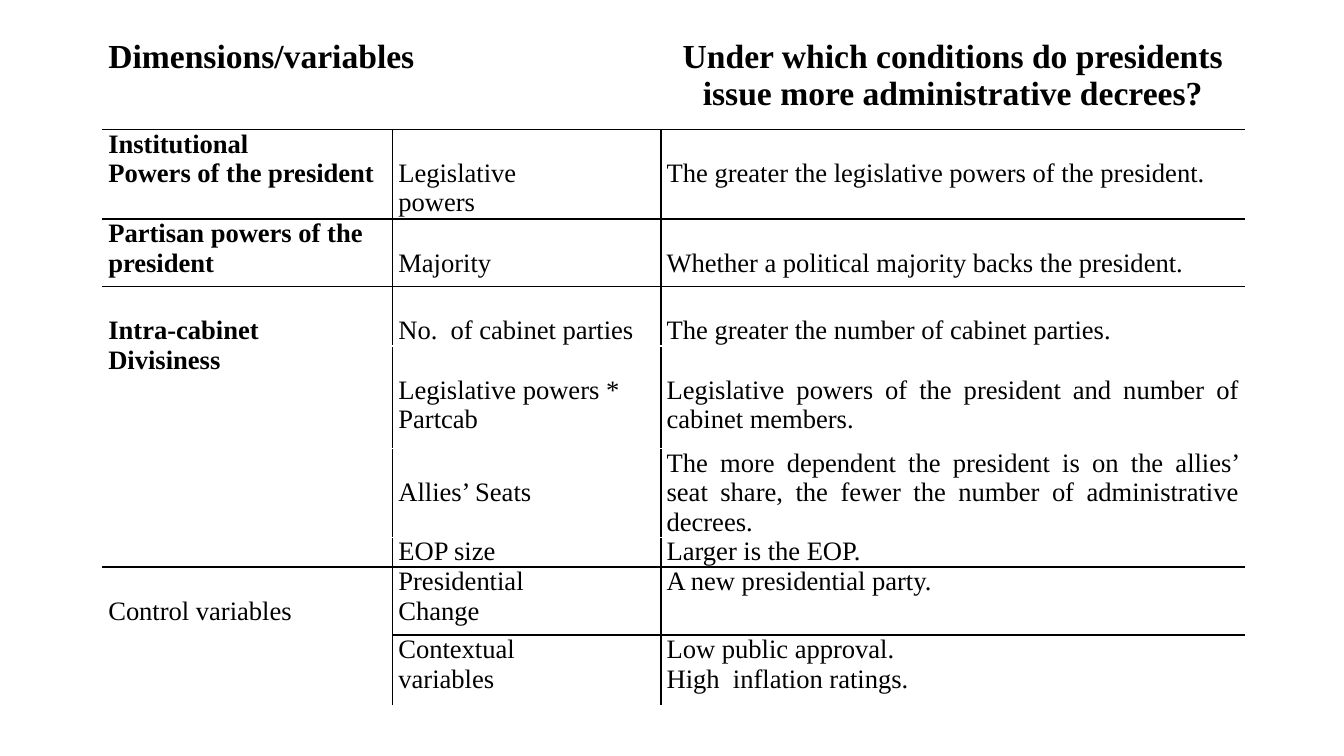
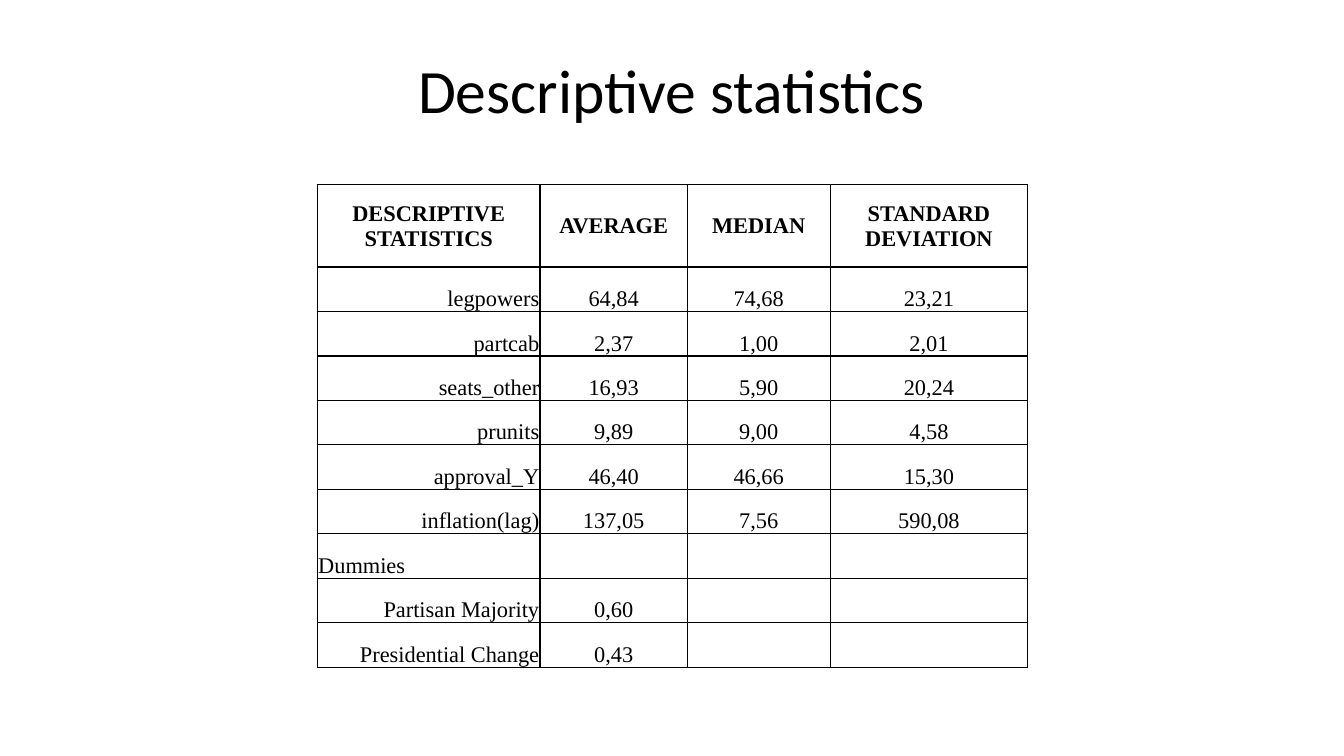
from lxml.etree import SubElement
from pptx import Presentation
from pptx.dml.color import RGBColor
from pptx.enum.text import MSO_ANCHOR as ANCHOR, PP_ALIGN as ALIGN
from pptx.oxml.ns import qn
from pptx.util import Cm, Pt

COLORS = {"ink": "000000", "paper": "FFFFFF"}
SERIF, SANS = "Times New Roman", "Calibri"
BORDER = Pt(1)
LINE = 0.74  # height of one 19 pt line, in cm

# Hypotheses: (lines left free above the text, text); None is covered by a merge
HYPOTHESES = [
    [(0, "Dimensions/variables"), None,
     (0, "Under which conditions do presidents issue more administrative decrees?")],
    [(0, "Institutional\nPowers of the president"), (1, "Legislative\npowers"),
     (1, "The greater the legislative powers of the president.")],
    [(0, "Partisan powers of the president"), (1, "Majority"),
     (1, "Whether a political majority backs the president.")],
    [(1, "Intra-cabinet\nDivisiness"), (1, "No.  of cabinet parties"),
     (1, "The greater the number of cabinet parties.")],
    [None, (1, "Legislative powers *\nPartcab"),
     (1, "Legislative powers of the president and number of cabinet members.")],
    [None, (1, "Allies’ Seats"),
     (0, "The more dependent the president is on the allies’ seat share, "
         "the fewer the number of administrative decrees.")],
    [None, (0, "EOP size"), (0, "Larger is the EOP.")],
    [(1, "Control variables"), (0, "Presidential\nChange"),
     (0, "A new presidential party.")],
    [None, (0, "Contextual\nvariables"),
     (0, "Low public approval.\nHigh  inflation ratings.")],
]
MERGES = [((0, 0), (0, 1)), ((3, 0), (6, 0)), ((7, 0), (8, 0))]

STATISTICS = [
    ("DESCRIPTIVE STATISTICS", "AVERAGE", "MEDIAN", "STANDARD DEVIATION"),
    ("legpowers", "64,84", "74,68", "23,21"),
    ("partcab", "2,37", "1,00", "2,01"),
    ("seats_other", "16,93", "5,90", "20,24"),
    ("prunits", "9,89", "9,00", "4,58"),
    ("approval_Y", "46,40", "46,66", "15,30"),
    ("inflation(lag)", "137,05", "7,56", "590,08"),
    ("Dummies", "", "", ""),
    ("Partisan Majority", "0,60", "", ""),
    ("Presidential Change", "0,43", "", ""),
]


def set_attrs(obj, values):
    for name, value in values.items():
        setattr(obj, name, value)


def write(tf, text, font, align, spacing=None):
    """Fill a text frame, one paragraph for each line of text."""
    tf.text = text
    for p in tf.paragraphs:
        set_attrs(p, {"alignment": align, "line_spacing": spacing})
        for r in p.runs:
            set_attrs(r.font, font)
            r.font.color.rgb = RGBColor.from_string(COLORS["ink"])


def set_borders(cell, sides):
    """Draw the cell's sides: a dict of L, R, T, B to a colour name."""
    tcPr = cell._tc.get_or_add_tcPr()
    for side, color in sides.items():
        ln = SubElement(tcPr, qn(f"a:ln{side}"), w=str(BORDER))
        fill = SubElement(ln, qn("a:solidFill"))
        SubElement(fill, qn("a:srgbClr"), val=COLORS[color])


def add_plain_table(slide, left, top, cols, rows):
    """Add a table without style bands, sized by its columns and rows."""
    table = slide.shapes.add_table(len(rows), len(cols), Cm(left), Cm(top),
                                   Cm(sum(cols)), Cm(sum(rows))).table
    set_attrs(table, {"first_row": False, "horz_banding": False})
    for col, width in zip(table.columns, cols):
        col.width = Cm(width)
    for row, height in zip(table.rows, rows):
        row.height = Cm(height)
    return table


def hypothesis_borders(r, c):
    """Black rules between groups and columns, white everywhere else."""
    def rule(row, col):  # line under a row
        return row in (0, 1, 2, 6) or (row == 7 and col > 0)

    black = {"L": r > 0 and c > 0, "R": r > 0 and c < 2,
             "T": rule(r - 1, c), "B": rule(r, c)}
    return {side: "ink" if on else "paper" for side, on in black.items()}


def hypotheses_table(slide, left, top):
    cols = [7.31, 6.76, 14.7]
    rows = [2.29, 2.26, 1.71, 1.49, 2.59, 2.23, 0.75, 1.71, 1.78]
    table = add_plain_table(slide, left, top, cols, rows)
    for first, last in MERGES:
        table.cell(*first).merge(table.cell(*last))
    for r, row in enumerate(HYPOTHESES):
        for c, entry in enumerate(row):
            cell = table.cell(r, c)
            set_borders(cell, hypothesis_borders(r, c))
            cell.fill.background()
            lead, text = entry or (0, "")
            set_attrs(cell, {"margin_left": Cm(0.14), "margin_right": Cm(0.14),
                             "margin_top": Cm(lead * LINE), "margin_bottom": 0})
            if not entry:
                continue
            font = {"name": SERIF, "size": Pt(19 if r else 24),
                    "bold": r == 0 or (c == 0 and r < 7)}
            align = ALIGN.LEFT
            if c == 2:
                align = ALIGN.JUSTIFY if r else ALIGN.CENTER
            write(cell.text_frame, text, font, align)


def statistics_table(slide, left, top):
    cols = [5.61, 3.71, 3.6, 4.98]
    rows = [2.08] + [1.12] * (len(STATISTICS) - 1)
    table = add_plain_table(slide, left, top, cols, rows)
    for r, row in enumerate(STATISTICS):
        for c, text in enumerate(row):
            cell = table.cell(r, c)
            set_borders(cell, dict.fromkeys("LRTB", "ink"))
            cell.fill.background()
            set_attrs(cell, {"margin_left": Cm(0.02), "margin_right": Cm(0.02),
                             "margin_top": Cm(0.02), "margin_bottom": 0,
                             "vertical_anchor": ANCHOR.BOTTOM if r else ANCHOR.MIDDLE})
            align = ALIGN.CENTER
            if r and c == 0:
                align = ALIGN.LEFT if text == "Dummies" else ALIGN.RIGHT
            font = {"name": SERIF, "size": Pt(16), "bold": r == 0}
            write(cell.text_frame, text, font, align)


def add_title(slide, text, left, top, width, height):
    box = slide.shapes.add_textbox(Cm(left), Cm(top), Cm(width), Cm(height))
    tf = box.text_frame
    set_attrs(tf, {"word_wrap": True, "vertical_anchor": ANCHOR.MIDDLE})
    write(tf, text, {"name": SANS, "size": Pt(44)}, ALIGN.CENTER, 0.9)


def main():
    prs = Presentation()
    set_attrs(prs, {"slide_width": Cm(33.87), "slide_height": Cm(19.05)})
    blank = prs.slide_layouts[6]

    # Hypotheses
    hypotheses_table(prs.slides.add_slide(blank), 2.59, 0.97)

    # Descriptive statistics
    s = prs.slides.add_slide(blank)
    add_title(s, "Descriptive statistics", 5.5, 0.76, 22.86, 3.18)
    statistics_table(s, 8, 4.65)

    prs.save("out.pptx")


if __name__ == "__main__":
    main()
